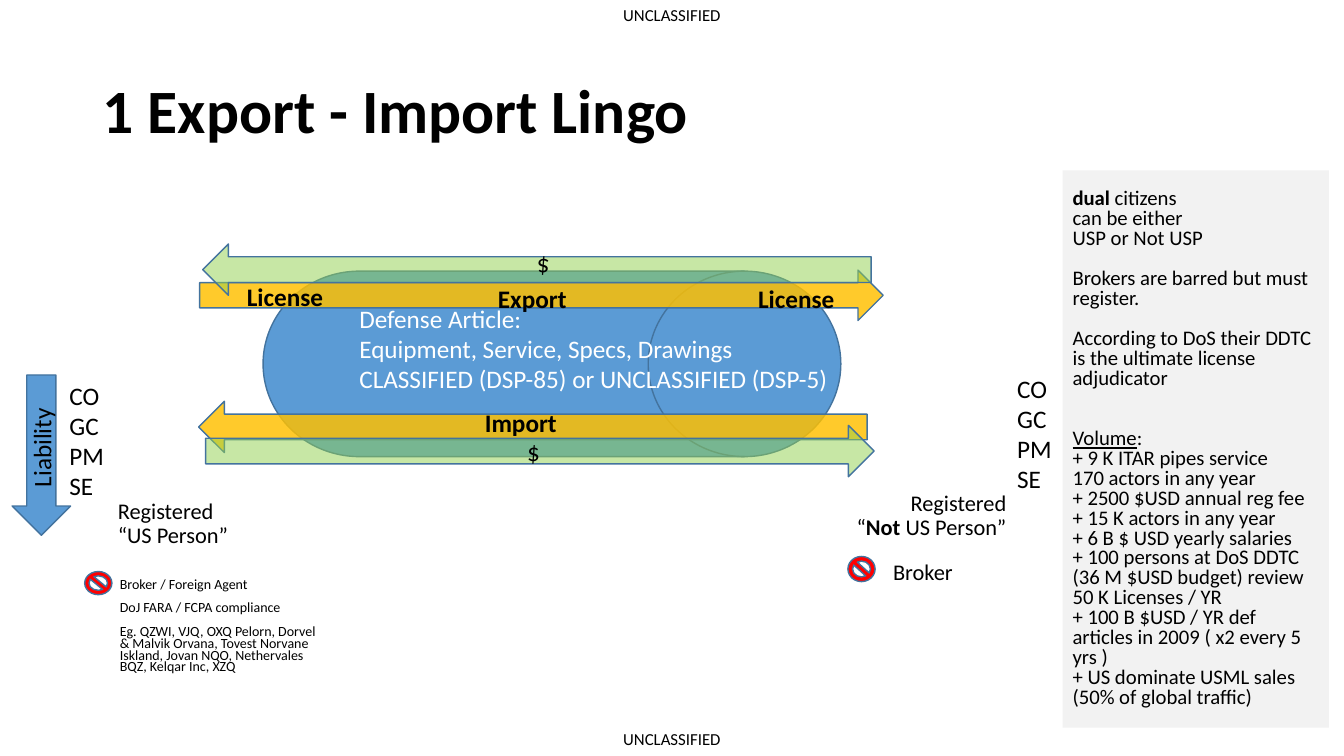
from lxml.etree import SubElement
from pptx import Presentation
from pptx.dml.color import RGBColor
from pptx.enum.shapes import MSO_SHAPE as Geo
from pptx.enum.text import MSO_ANCHOR as Anchor, MSO_AUTO_SIZE as Fit, PP_ALIGN as Align
from pptx.oxml.ns import qn
from pptx.util import Inches, Pt


def color(code):
    return RGBColor.from_string(code)


def write(frame, lines, size=18, ink="000000", bold=False, para={}, gaps={}, box={}):
    """Fill a frame; a line is a string or a list of (text, font attribute) runs."""
    for key, val in box.items():
        setattr(frame, key, val)
    for num, line in enumerate(lines):
        par = frame.paragraphs[0] if num == 0 else frame.add_paragraph()
        for key, val in para.items():
            setattr(par, key, val)
        if num in gaps:
            par.space_before = Pt(gaps[num])
        for text, style in [(line, "")] if isinstance(line, str) else line:
            run = par.add_run()
            run.text = text
            look = {"name": "Calibri", "size": Pt(size), "bold": bold}
            if style:
                look[style] = True
            for key, val in look.items():
                setattr(run.font, key, val)
            run.font.color.rgb = color(ink)


prs = Presentation()
prs.slide_width, prs.slide_height = Inches(13.33), Inches(7.5)
slide = prs.slides.add_slide(prs.slide_layouts[5])

# Shared text formats
mid = {"word_wrap": True, "vertical_anchor": Anchor.MIDDLE}
free = {"word_wrap": False, "auto_size": Fit.SHAPE_TO_FIT_TEXT}
flush = {"word_wrap": False, "vertical_anchor": Anchor.MIDDLE, "margin_left": 0,
         "margin_right": 0, "margin_top": 0, "margin_bottom": Inches(0.31)}
center = {"alignment": Align.CENTER}
tight = {"line_spacing": 0.9}

# Title
title = slide.shapes.title
for key, val in zip(("left", "top", "width", "height"), (0.92, 0.4, 11.5, 1.45)):
    setattr(title, key, Inches(val))
write(title.text_frame, ["1 Export - Import Lingo"], 44, bold=True,
      para={"alignment": Align.LEFT, **tight}, box={**mid, "auto_size": Fit.NONE})

# Wording of the longer blocks
facts = [
    [("dual", "bold"), (" citizens", "")],
    "can be either",
    "USP or Not USP",
    "Brokers are barred but must register.",
    "According to DoS their DDTC is the ultimate license adjudicator",
    [("Volume", "underline"), (":", "")],
    "+ 9 K ITAR pipes service",
    "170 actors in any year",
    "+ 2500 $USD annual reg fee",
    "+ 15 K actors in any year",
    "+ 6 B $ USD yearly salaries",
    "+ 100 persons at DoS DDTC (36 M $USD budget) review",
    "50 K Licenses / YR",
    "+ 100 B $USD / YR def articles in 2009 ( x2 every 5 yrs )",
    "+ US dominate USML sales (50% of global traffic)",
]
goods = ["Defense Article:", "Equipment, Service, Specs, Drawings",
         "CLASSIFIED (DSP-85) or UNCLASSIFIED (DSP-5)"]
agents = ["Broker / Foreign Agent", "DoJ FARA / FCPA compliance",
          "Eg. QZWI, VJQ, OXQ Pelorn, Dorvel & Malvik Orvana, Tovest Norvane "
          "Iskland, Jovan NQO, Nethervales BQZ, Kelqar Inc, XZQ"]
other = ["Registered", [("“", ""), ("Not", "bold"), (" US Person”", "")]]
staff = ["CO", "GC", "PM", "SE"]

# Formats by role
banner = dict(size=12, para=center, box={"word_wrap": True, "auto_size": Fit.SHAPE_TO_FIT_TEXT})
label = dict(bold=True, box=free)
party = dict(size=16, para=tight, box=mid)
cash = dict(lines=["$"], para=center, box=mid)
blue, gold, green, red = ("5B9BD5", 100), ("FFC000", 83), ("92D050", 51), ("FF0000", 100)

# Parts from back to front: preset (None for text), place, fill, turn, text
parts = [
    (None, (0, 0, 13.33, 0.3), None, 0, dict(lines=["UNCLASSIFIED"], **banner)),
    (None, (0, 7.18, 13.33, 0.3), None, 0, dict(lines=["UNCLASSIFIED"], **banner)),
    (Geo.RECTANGLE, (10.54, 1.69, 2.64, 5.53), ("F2F2F2", 100), 0,
     dict(lines=facts, size=14.8, box=mid, gaps={3: 14.4, 4: 14.4, 5: 28.8},
          para={"alignment": Align.LEFT, "line_spacing": 0.8})),
    (Geo.FLOWCHART_DIRECT_ACCESS_STORAGE, (2.61, 2.69, 5.73, 1.84), blue, 0,
     dict(lines=goods, ink="FFFFFF", box=flush, para={"alignment": Align.LEFT})),
    (Geo.RIGHT_ARROW, (1.97, 3.98, 6.63, 0.51), gold, 180, None),
    (None, (1.07, 4.82, 1.69, 0.77), None, 0, dict(lines=["Registered", "“US Person”"], **party)),
    (Geo.RIGHT_ARROW, (1.98, 2.68, 6.78, 0.5), gold, 0, None),
    (None, (4.84, 2.76, 0.89, 0.4), None, 0, dict(lines=["Export"], **label)),
    (None, (8.24, 4.67, 1.84, 0.91), None, 0,
     dict(lines=other, size=16, box=mid, para={"alignment": Align.RIGHT, **tight})),
    (None, (2.35, 2.74, 0.96, 0.4), None, 0, dict(lines=["License"], **label)),
    (None, (7.42, 2.76, 0.96, 0.4), None, 0, dict(lines=["License"], **label)),
    (None, (1.09, 5.67, 2.21, 1.1), None, 0,
     dict(lines=agents, size=10, box=mid, para={"line_spacing": 0.7}, gaps={1: 8.5, 2: 8.5})),
    (Geo.NO_SYMBOL, (0.84, 5.67, 0.27, 0.23), red, 0, None),
    (None, (8.76, 5.3, 1.17, 0.77), None, 0, dict(lines=["Broker"], **party)),
    (Geo.NO_SYMBOL, (8.41, 5.52, 0.27, 0.25), red, 0, None),
    (None, (9.99, 3.65, 0.55, 1.31), None, 0, dict(lines=staff, box=free)),
    (Geo.DOWN_ARROW, (0.12, 3.72, 0.58, 1.59), blue, 0,
     dict(lines=["Liability"], para=center, box=mid)),
    (Geo.RIGHT_ARROW, (2.01, 2.42, 6.63, 0.51), green, 180, cash),
    (Geo.RIGHT_ARROW, (2.04, 4.22, 6.63, 0.51), green, 0, cash),
    (None, (4.71, 3.99, 0.92, 0.4), None, 0, dict(lines=["Import"], **label)),
    (None, (0.59, 3.72, 0.55, 1.31), None, 0, dict(lines=staff, box=free)),
]

for kind, place, fill, turn, text in parts:
    spot = [Inches(val) for val in place]
    if kind is None:
        shape = slide.shapes.add_textbox(*spot)
    else:
        shape = slide.shapes.add_shape(kind, *spot)
        shape.shadow.inherit = False
        shape.rotation = turn
        shape.fill.solid()
        shape.fill.fore_color.rgb = color(fill[0])
        if fill[1] < 100:
            tint = shape.element.spPr.find(qn("a:solidFill"))[0]
            SubElement(tint, qn("a:alpha"), val=str(fill[1] * 1000))
        if kind == Geo.RECTANGLE:
            shape.line.fill.background()
        else:
            shape.line.color.rgb = color("43739E")
            shape.line.width = Pt(1)
    if text:
        write(shape.text_frame, **text)
    # The liability label reads upwards
    if kind == Geo.DOWN_ARROW:
        shape.element.txBody.find(qn("a:bodyPr")).set("vert", "vert270")

prs.save("out.pptx")
